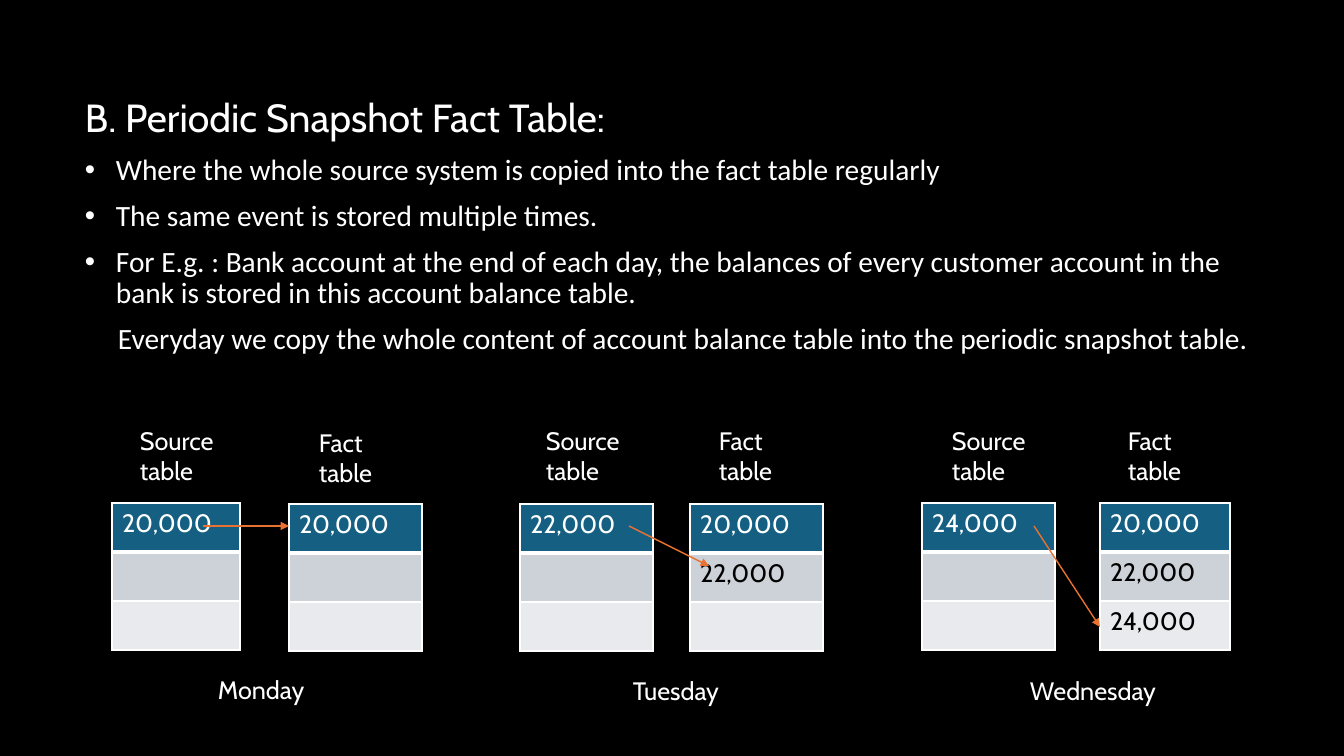
from lxml import etree
from pptx import Presentation, util as u
from pptx.dml.color import RGBColor
from pptx.enum import shapes, text
from pptx.oxml import ns

COLORS = {
    "background": "000000", "white": "FFFFFF", "black": "000000",
    "header": "156082", "band": "CCD2D8", "light": "E8EAED", "arrow": "E97132",
}
HEADING = "B. Periodic Snapshot Fact Table:"
BULLETS = [
    "Where the whole source system is copied into the fact table regularly",
    "The same event is stored multiple times.",
    "For E.g. : Bank account at the end of each day, the balances of every customer "
    "account in the bank is stored in this account balance table.",
]
CLOSING = "Everyday we copy the whole content of account balance table into the periodic snapshot table."
DAYS = [
    {"name": ("Monday", 208, 669, 120),
     "source": (112, 503, 128, ["20,000"]), "fact": (289, 504, 133, ["20,000"]),
     "source label": (130, 420), "fact label": (309, 422),
     "arrow": (203, 526, 289, 526)},
    {"name": ("Tuesday", 623, 670, 120),
     "source": (520, 504, 133, ["22,000"]), "fact": (690, 504, 133, ["20,000", "22,000"]),
     "source label": (536, 420), "fact label": (709, 420),
     "arrow": (629, 526, 709, 566)},
    {"name": ("Wednesday", 1020, 670, 149),
     "source": (922, 503, 133, ["24,000"]),
     "fact": (1100, 503, 130, ["20,000", "22,000", "24,000"]),
     "source label": (942, 420), "fact label": (1118, 420),
     "arrow": (1034, 526, 1100, 627)},
]
ROW_FILLS = ["header", "band", "light"]
ROW_HEIGHT = 49
BULLET_INDENT = 31
CLOSING_INDENT = 33
WIDTH, HEIGHT = 1344, 756
SCALE = 12192000 / WIDTH


def px(length):
    return u.Emu(round(length * SCALE))


def rgb(name):
    return RGBColor.from_string(COLORS[name])


def add_span(para, words, size=18, font="Cabin", color="white"):
    span = para.add_run()
    span.text = words
    span.font.size = u.Pt(size)
    span.font.name = font
    span.font.color.rgb = rgb(color)


def add_box(page, left, top, width, height, lines=()):
    box = page.shapes.add_textbox(px(left), px(top), px(width), px(height))
    frame = box.text_frame
    frame.word_wrap = True
    frame.vertical_anchor = text.MSO_ANCHOR.TOP
    for index, line in enumerate(lines):
        para = frame.add_paragraph() if index else frame.paragraphs[0]
        add_span(para, line)
    return frame


def add_body(page):
    frame = add_box(page, 75, 94, 1196, 576, [HEADING])
    frame.paragraphs[0].runs[0].font.size = u.Pt(28)
    for line in [*BULLETS, CLOSING]:
        para = frame.add_paragraph()
        add_span(para, line, 21, "Calibri")
        props = para._p.get_or_add_pPr()
        if line == CLOSING:
            props.set("marL", str(px(CLOSING_INDENT)))
            props.set("indent", "0")
        else:
            props.set("marL", str(px(BULLET_INDENT)))
            props.set("indent", str(-px(BULLET_INDENT)))
    for para in frame.paragraphs:
        para.line_spacing = 0.9
        para.space_before = u.Pt(10)
    for para in frame.paragraphs[1:-1]:
        props = para._p.get_or_add_pPr()
        etree.SubElement(props, ns.qn("a:buFont"), typeface="Arial")
        etree.SubElement(props, ns.qn("a:buChar"), char="•")


def add_borders(cell, bottom):
    props = cell._tc.get_or_add_tcPr()
    for index, (side, points) in enumerate([("L", 1), ("R", 1), ("T", 1), ("B", bottom)]):
        line = etree.Element(ns.qn(f"a:ln{side}"), w=str(u.Pt(points)))
        fill = etree.SubElement(line, ns.qn("a:solidFill"))
        etree.SubElement(fill, ns.qn("a:srgbClr"), val=COLORS["white"])
        props.insert(index, line)


def add_balances(page, left, top, width, balances):
    rows = len(ROW_FILLS)
    frame = page.shapes.add_table(rows, 1, px(left), px(top), px(width), px(rows * ROW_HEIGHT))
    for index, fill in enumerate(ROW_FILLS):
        cell = frame.table.cell(index, 0)
        cell.fill.solid()
        cell.fill.fore_color.rgb = rgb(fill)
        add_borders(cell, 1 if index else 3)
        if index < len(balances):
            para = cell.text_frame.paragraphs[0]
            add_span(para, balances[index], color="black" if index else "white")
            para.runs[0].font.bold = False


def add_arrow(page, *ends):
    arrow = page.shapes.add_connector(shapes.MSO_CONNECTOR.STRAIGHT, *map(px, ends))
    arrow.line.color.rgb = rgb("arrow")
    arrow.line.width = u.Pt(1)
    etree.SubElement(arrow.line._get_or_add_ln(), ns.qn("a:tailEnd"), type="triangle")
    etree.SubElement(arrow._element.spPr, ns.qn("a:effectLst"))


def main():
    deck = Presentation()
    deck.slide_width, deck.slide_height = px(WIDTH), px(HEIGHT)
    page = deck.slides.add_slide(deck.slide_layouts[6])
    page.background.fill.solid()
    page.background.fill.fore_color.rgb = rgb("background")
    add_body(page)
    for day in DAYS:
        name, left, top, width = day["name"]
        add_balances(page, *day["source"])
        add_balances(page, *day["fact"])
        add_box(page, *day["source label"], 109, 72, ["Source", "table"])
        add_box(page, *day["fact label"], 93, 72, ["Fact table"])
        add_box(page, left, top, width, 40, [name])
        add_arrow(page, *day["arrow"])
    deck.save("out.pptx")


if __name__ == "__main__":
    main()
